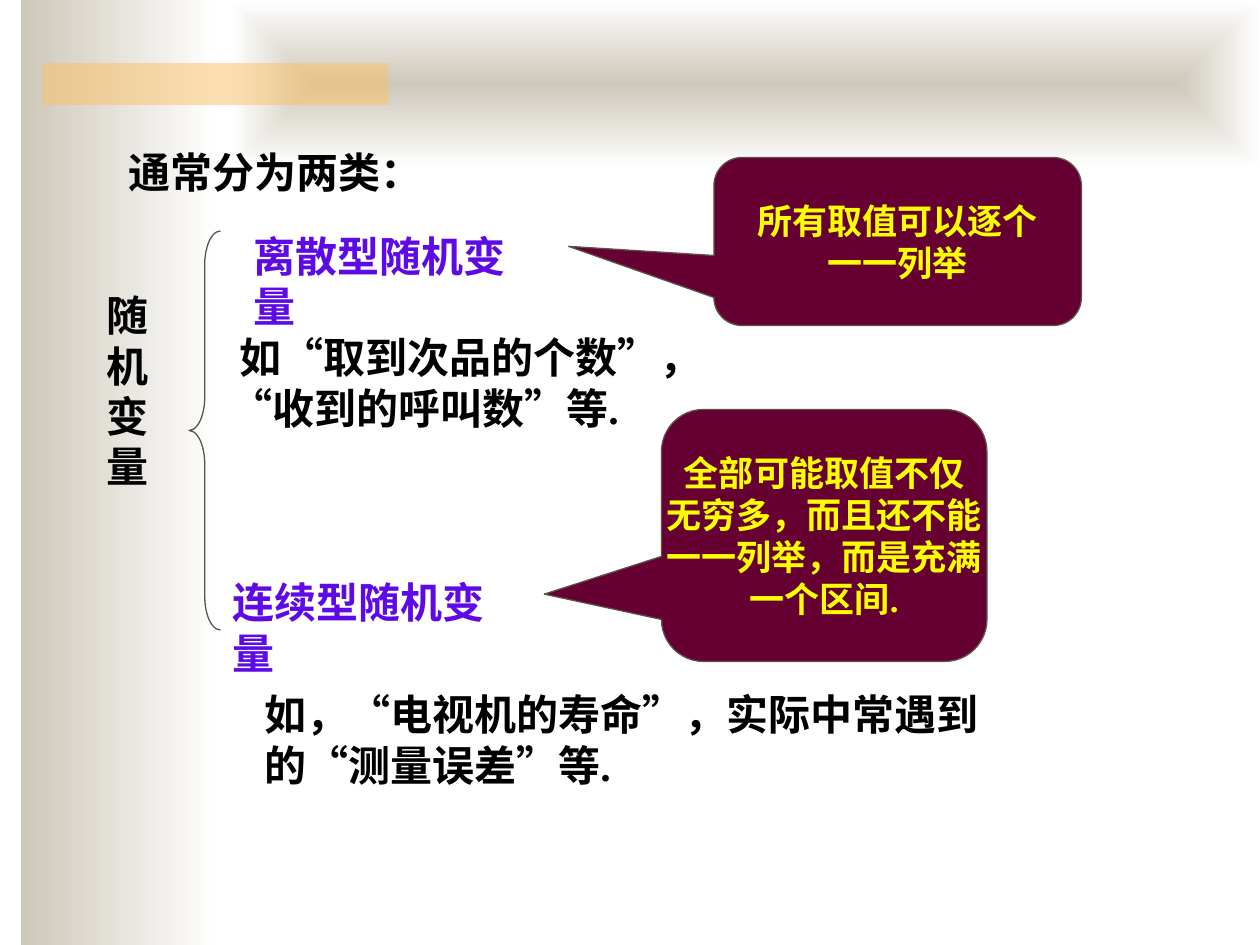
from lxml.etree import SubElement, fromstring
from pptx import Presentation
from pptx.dml.color import RGBColor
from pptx.enum.lang import MSO_LANGUAGE_ID as Language
from pptx.enum.shapes import MSO_SHAPE as Preset
from pptx.enum.text import MSO_ANCHOR as Anchor, PP_ALIGN as Align
from pptx.oxml.ns import nsdecls, qn
from pptx.util import Pt

BLACK = RGBColor(0x00, 0x00, 0x00)
WHITE = RGBColor(0xFF, 0xFF, 0xFF)
STONE = RGBColor(0xCE, 0xC8, 0xBA)
AMBER = RGBColor(0xFA, 0xC1, 0x64)
VIOLET = RGBColor(0x5E, 0x0A, 0xE6)
MAROON = RGBColor(0x66, 0x00, 0x33)
YELLOW = RGBColor(0xFF, 0xFF, 0x00)
OUTLINE = RGBColor(0x5B, 0x52, 0x49)


class SlideBuilder:
    font = "Times New Roman"
    body_size = 24
    callout_size = 20
    line_width = 0.75

    def __init__(self, page):
        self.page = page

    def shape(self, preset, bounds, adjustments=(), outlined=False):
        shape = self.page.shapes.add_shape(preset, *map(Pt, bounds))
        shape.shadow.inherit = False
        for index, value in enumerate(adjustments):
            shape.adjustments[index] = value
        if outlined:
            shape.line.color.rgb = OUTLINE
            shape.line.width = Pt(self.line_width)
        else:
            shape.line.fill.background()
        return shape

    def gradient_band(self, bounds, from_center=False):
        band = self.shape(Preset.RECTANGLE, bounds)
        band.fill.gradient()
        band.fill.gradient_angle = 0
        for stop, color in zip(band.fill.gradient_stops, (STONE, WHITE)):
            stop.color.rgb = color
        if from_center:
            linear = band.element.spPr.find(".//" + qn("a:lin"))
            linear.getparent().replace(linear, fromstring(
                f'<a:path {nsdecls("a")} path="shape">'
                '<a:fillToRect l="50000" t="50000" r="50000" b="50000"/></a:path>'))

    def tint_bar(self, bounds, color, opacity):
        bar = self.shape(Preset.RECTANGLE, bounds)
        bar.fill.solid()
        bar.fill.fore_color.rgb = color
        tone = bar.element.spPr.find(".//" + qn("a:srgbClr"))
        SubElement(tone, qn("a:alpha")).set("val", str(opacity * 1000))

    def brace(self, bounds, adjustments):
        self.shape(Preset.LEFT_BRACE, bounds, adjustments, True).fill.background()

    def fill_text(self, box, lines, color, size, align=Align.LEFT, wrap=True,
                  anchor=Anchor.TOP, indents=()):
        frame = box.text_frame
        frame.word_wrap = wrap
        frame.vertical_anchor = anchor
        for index, line in enumerate(lines):
            para = frame.add_paragraph() if index else frame.paragraphs[0]
            para.alignment = align
            if indents:
                para._p.get_or_add_pPr().set("marL", str(Pt(indents[index])))
            span = para.add_run()
            span.text = line
            span.font.name = self.font
            span.font.size = Pt(size)
            span.font.bold = True
            span.font.color.rgb = color
            span.font.language_id = Language.SIMPLIFIED_CHINESE

    def title(self, bounds, line):
        box = self.page.shapes.title
        box.left, box.top, box.width, box.height = map(Pt, bounds)
        box.element.getparent().append(box.element)
        self.fill_text(box, [line], BLACK, self.body_size, wrap=False)

    def text(self, bounds, lines, color=BLACK, wrap=True, indents=()):
        box = self.page.shapes.add_textbox(*map(Pt, bounds))
        self.fill_text(box, lines, color, self.body_size, wrap=wrap, indents=indents)

    def callout(self, bounds, pointer, lines):
        box = self.shape(Preset.ROUNDED_RECTANGULAR_CALLOUT, bounds,
                         (*pointer, 0.167), True)
        box.fill.solid()
        box.fill.fore_color.rgb = MAROON
        self.fill_text(box, lines, YELLOW, self.callout_size, Align.CENTER,
                       False, Anchor.MIDDLE)


deck = Presentation()
deck.slide_width, deck.slide_height = Pt(720), Pt(540)
slide = SlideBuilder(deck.slides.add_slide(deck.slide_layouts[5]))

slide.gradient_band((12, 0, 114, 540))
slide.gradient_band((132, 0, 588, 96), from_center=True)
slide.tint_bar((24, 36, 198, 24), AMBER, 50)

slide.title((66, 80, 182, 36), "通常分为两类：")
slide.text((108, 186, 372, 65), ["如“取到次品的个数”，", "“收到的呼叫数”等."],
           indents=(22, 16.5))
slide.text((54, 162, 42, 122), ["随机变量"])
slide.brace((108, 132, 18, 228), (1.056, 0.5))
for left, top, name in ((138, 128, "离散型随机变量"), (126, 326, "连续型随机变量")):
    slide.text((left, top, 182, 36), [name], VIOLET, wrap=False)

slide.callout((408, 90, 210, 96), (-0.896, 0.029),
              ["所有取值可以逐个", "一一列举"])
slide.text((144, 390, 450, 65),
           ["如，“电视机的寿命”，实际中常遇到的“测量误差”等."])
slide.callout((378, 234, 186, 144), (-0.86, 0.233),
              ["全部可能取值不仅", "无穷多，而且还不能", "一一列举，而是充满", "一个区间."])

deck.save("out.pptx")
